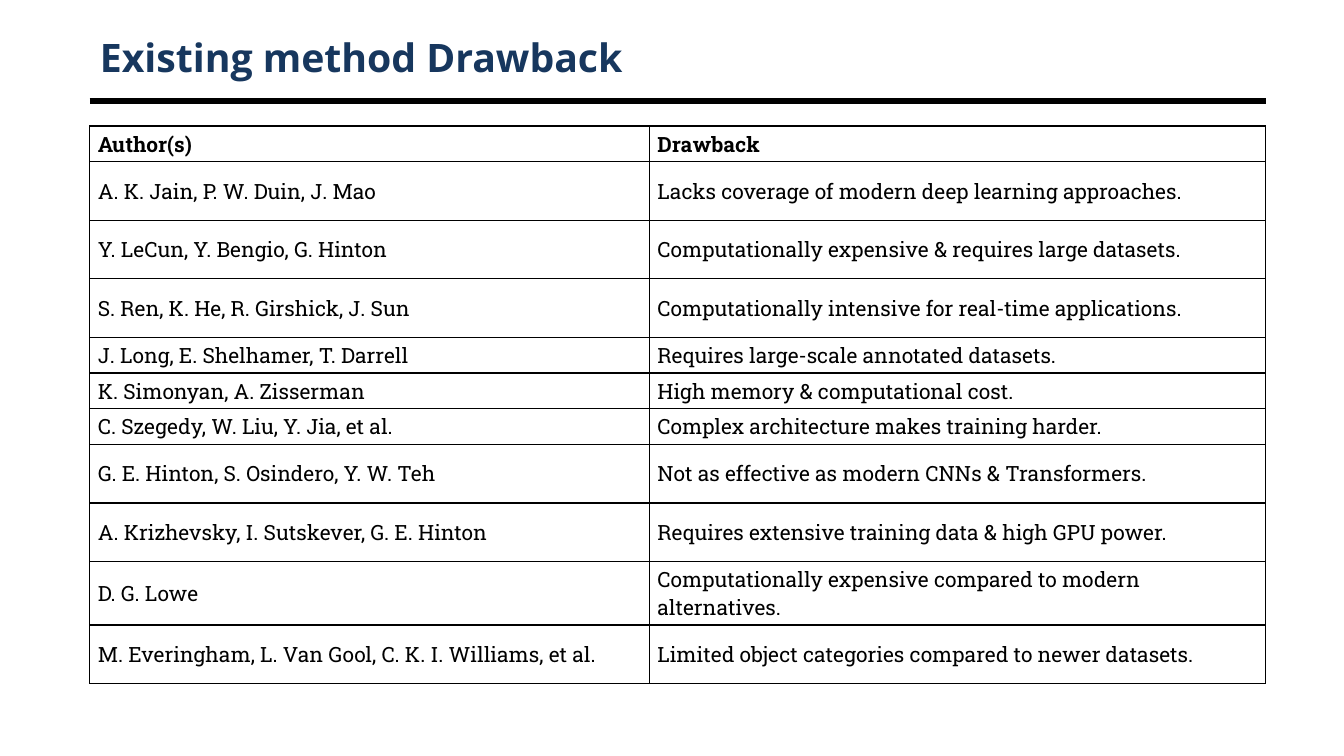
from typing import NamedTuple

from lxml import etree
from pptx import Presentation
from pptx.dml.color import RGBColor
from pptx.enum import shapes, text
from pptx.oxml.ns import qn
from pptx.util import Inches, Pt

NAVY = RGBColor(0x17, 0x37, 0x5E)
BLACK = RGBColor(0, 0, 0)
WHITE = RGBColor(0xFF, 0xFF, 0xFF)

LEFT, WIDTH = 0.89, 11.67
RULE_TOP = 1
TABLE_TOP = 1.25
COLUMN_WIDTHS = (5.55, 6.11)
SHORT, TALL = 0.33, 0.58


class Method(NamedTuple):
    authors: str
    drawback: str
    height: float = TALL


METHODS = [
    Method("Author(s)", "Drawback", SHORT),
    Method("A. K. Jain, P. W. Duin, J. Mao", "Lacks coverage of modern deep learning approaches."),
    Method("Y. LeCun, Y. Bengio, G. Hinton", "Computationally expensive & requires large datasets."),
    Method("S. Ren, K. He, R. Girshick, J. Sun", "Computationally intensive for real-time applications."),
    Method("J. Long, E. Shelhamer, T. Darrell", "Requires large-scale annotated datasets.", SHORT),
    Method("K. Simonyan, A. Zisserman", "High memory & computational cost.", SHORT),
    Method("C. Szegedy, W. Liu, Y. Jia, et al.", "Complex architecture makes training harder.", SHORT),
    Method("G. E. Hinton, S. Osindero, Y. W. Teh", "Not as effective as modern CNNs & Transformers."),
    Method("A. Krizhevsky, I. Sutskever, G. E. Hinton", "Requires extensive training data & high GPU power."),
    Method("D. G. Lowe", "Computationally expensive compared to modern alternatives."),
    Method("M. Everingham, L. Van Gool, C. K. I. Williams, et al.",
           "Limited object categories compared to newer datasets."),
]


def write(frame, content: str, *, font: str, size: float, color: RGBColor, bold: bool = False) -> None:
    paragraph = frame.paragraphs[0]
    paragraph.alignment = text.PP_ALIGN.LEFT
    run = paragraph.add_run()
    run.text = content
    run.font.name = font
    run.font.size = Pt(size)
    run.font.bold = bold
    run.font.color.rgb = color


def add_borders(cell, color: RGBColor, points: float) -> None:
    properties = cell._tc.get_or_add_tcPr()
    for side in ("a:lnL", "a:lnR", "a:lnT", "a:lnB"):
        border = etree.SubElement(properties, qn(side), w=str(Pt(points)))
        fill = etree.SubElement(border, qn("a:solidFill"))
        etree.SubElement(fill, qn("a:srgbClr"), val=str(color))


def add_title(slide) -> None:
    title = slide.shapes.title
    title.left, title.top = Inches(LEFT), Inches(0.3)
    title.width, title.height = Inches(WIDTH), Inches(0.53)
    frame = title.text_frame
    frame.word_wrap = True
    frame.auto_size = text.MSO_AUTO_SIZE.NONE
    frame.vertical_anchor = text.MSO_ANCHOR.MIDDLE
    write(frame, "Existing method Drawback", font="Open Sans", size=28, color=NAVY, bold=True)


def add_rule(slide) -> None:
    rule = slide.shapes.add_connector(
        shapes.MSO_CONNECTOR.STRAIGHT,
        Inches(LEFT), Inches(RULE_TOP), Inches(LEFT + WIDTH), Inches(RULE_TOP))
    rule.line.color.rgb = BLACK
    rule.line.width = Pt(4.5)
    etree.SubElement(rule._element.spPr, qn("a:effectLst"))


def add_methods_table(slide) -> None:
    height = sum(method.height for method in METHODS)
    table = slide.shapes.add_table(
        len(METHODS), len(COLUMN_WIDTHS),
        Inches(LEFT), Inches(TABLE_TOP), Inches(WIDTH), Inches(height)).table
    table.first_row = table.horz_banding = False
    for column, width in zip(table.columns, COLUMN_WIDTHS):
        column.width = Inches(width)
    for index, (row, method) in enumerate(zip(table.rows, METHODS)):
        row.height = Inches(method.height)
        for cell, content in zip(row.cells, (method.authors, method.drawback)):
            cell.margin_left = cell.margin_right = Inches(0.08)
            cell.margin_top = cell.margin_bottom = Inches(0.04)
            cell.vertical_anchor = text.MSO_ANCHOR.MIDDLE
            add_borders(cell, BLACK, 1)
            cell.fill.solid()
            cell.fill.fore_color.rgb = WHITE
            write(cell.text_frame, content, font="Roboto Slab", size=15, color=BLACK, bold=index == 0)


def main() -> None:
    deck = Presentation()
    deck.slide_width, deck.slide_height = Inches(13.33), Inches(7.5)
    slide = deck.slides.add_slide(deck.slide_layouts[5])
    add_title(slide)
    add_rule(slide)
    add_methods_table(slide)
    deck.save("out.pptx")


if __name__ == "__main__":
    main()
